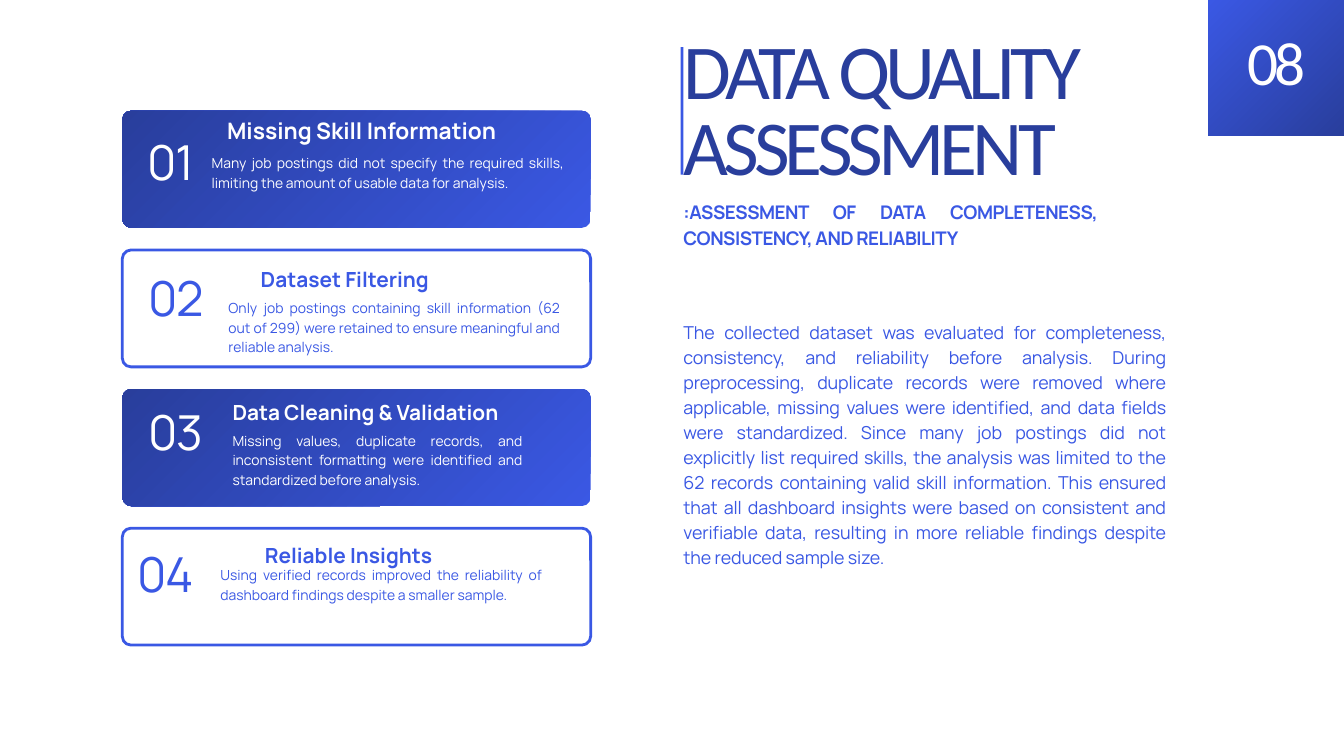
"""Build the data quality assessment slide."""
import pptx
import pptx.dml.color
import pptx.enum.shapes
import pptx.enum.text
import pptx.oxml
import pptx.oxml.ns
import pptx.util

Inches, Pt = pptx.util.Inches, pptx.util.Pt
SHAPE = pptx.enum.shapes.MSO_SHAPE
ALIGN = pptx.enum.text.PP_ALIGN

THEME = {
    "blue": "3A58E4", "navy": "293E9C", "white": "FFFFFF",
    "badge": {"size": 65.6, "name": "Calibri", "leading": 64.2, "spc": -4.2, "align": ALIGN.CENTER},
    "title": {"size": 83.2, "name": "Calibri", "leading": 81.5, "spc": -5.3, "align": ALIGN.LEFT},
    "subtitle": {"size": 20.1, "bold": True, "leading": 28.2, "spc": -0.5},
    "body": {"size": 19.1, "leading": 26.7, "spc": -0.1},
    "lead": {"size": 24.3, "bold": True, "leading": 37},
    "heading": {"size": 22.3, "bold": True, "leading": 34},
    "detail": {"size": 14.9, "leading": 20.9},
    "number": {"size": 51.6, "leading": 46.5, "spc": -1.5, "align": ALIGN.LEFT},
}

TEXTS = [
    ("08", "badge", "white", (18.24, 0.57, 1.5, 0.98)),
    ("DATA QUALITY ASSESSMENT", "title", "navy", (10.17, 0.58, 7.42, 2.32)),
    (":ASSESSMENT OF DATA COMPLETENESS, CONSISTENCY, AND RELIABILITY", "subtitle", "blue",
     (10.17, 2.93, 6.16, 0.78)),
    ("The collected dataset was evaluated for completeness, consistency, and reliability before "
     "analysis. During preprocessing, duplicate records were removed where applicable, missing "
     "values were identified, and data fields were standardized. Since many job postings did not "
     "explicitly list required skills, the analysis was limited to the 62 records containing valid "
     "skill information. This ensured that all dashboard insights were based on consistent and "
     "verifiable data, resulting in more reliable findings despite the reduced sample size.",
     "body", "blue", (10.17, 4.74, 7.18, 3.99)),
]

CARDS = [
    {"filled": True, "style": "lead", "number": (2.19, 2.19),
     "heading": ("Missing Skill Information", (3.38, 1.63, 4.44, 0.48)),
     "detail": ("Many job postings did not specify the required skills, limiting the amount of "
                "usable data for analysis.", (3.15, 2.26, 5.24, 0.83))},
    {"filled": False, "style": "heading", "number": (2.21, 4.21),
     "heading": ("Dataset Filtering", (3.88, 3.87, 3.45, 0.44)),
     "detail": ("Only job postings containing skill information (62 out of 299) were retained to "
                "ensure meaningful and reliable analysis.", (3.4, 4.42, 4.93, 0.87))},
    {"filled": True, "style": "heading", "number": (2.21, 6.2),
     "heading": ("Data Cleaning & Validation", (3.46, 5.85, 4.41, 0.44)),
     "detail": ("Missing values, duplicate records, and inconsistent formatting were identified "
                "and standardized before analysis.", (3.46, 6.39, 4.31, 0.83))},
    {"filled": False, "style": "heading", "number": (2.05, 8.32),
     "heading": ("Reliable Insights", (3.94, 7.98, 3.45, 0.44)),
     "detail": ("Using verified records improved the reliability of dashboard findings despite a "
                "smaller sample.", (3.28, 8.39, 4.78, 0.83))},
]
CARD_LEFT, CARD_TOP, CARD_WIDTH, CARD_HEIGHT = 1.82, 1.65, 6.97, 1.74
CARD_PITCH, CARD_RADIUS, NUMBER_SIZE = 2.07, 0.13, (0.96, 0.76)


def rgb(name):
    """Return a theme colour."""
    return pptx.dml.color.RGBColor.from_string(THEME[name])


def add_box(s, kind, box, fill=(), line=None):
    """Add a shape with no, solid or corner-radial fill."""
    sp = s.shapes.add_shape(kind, *map(Inches, box))
    sp.shadow.inherit = False
    if not fill:
        sp.fill.background()
    elif len(fill) == 1:
        sp.fill.solid()
        sp.fill.fore_color.rgb = rgb(fill[0])
    else:
        sp.fill.gradient()
        for i, stop in enumerate(sp.fill.gradient_stops):
            stop.position = i
            stop.color.rgb = rgb(fill[i])
        grad = sp._element.spPr.find(pptx.oxml.ns.qn("a:gradFill"))
        grad.replace(grad.find(pptx.oxml.ns.qn("a:lin")), pptx.oxml.parse_xml(
            f'<a:path {pptx.oxml.ns.nsdecls("a")} path="circle">'
            '<a:fillToRect l="0" t="0" r="100000" b="100000"/></a:path>'))
    if line:
        sp.line.color.rgb = rgb(line)
        sp.line.width = Pt(3)
    else:
        sp.line.fill.background()
    return sp


def add_text(s, text, style, color, box):
    """Add a text box in a theme style."""
    look = {"name": "Manrope", "bold": False, "align": ALIGN.JUSTIFY, "spc": 0, **THEME[style]}
    tf = s.shapes.add_textbox(*map(Inches, box)).text_frame
    frame = {"word_wrap": True, "auto_size": pptx.enum.text.MSO_AUTO_SIZE.SHAPE_TO_FIT_TEXT,
             "margin_left": 0, "margin_top": 0, "margin_right": 0, "margin_bottom": 0}
    for key, value in frame.items():
        setattr(tf, key, value)
    p = tf.paragraphs[0]
    p.alignment = look["align"]
    p.line_spacing = Pt(look["leading"])
    r = p.add_run()
    r.text = text
    for key, value in {"name": look["name"], "bold": look["bold"], "size": Pt(look["size"])}.items():
        setattr(r.font, key, value)
    r.font.color.rgb = rgb(color)
    r._r.get_or_add_rPr().set("spc", str(round(look["spc"] * 100)))


def add_card(s, index, card):
    """Add one numbered card."""
    box = (CARD_LEFT, CARD_TOP + index * CARD_PITCH, CARD_WIDTH, CARD_HEIGHT)
    fill, line, color = (("navy", "blue"), None, "white") if card["filled"] else ((), "blue", "blue")
    sp = add_box(s, SHAPE.ROUNDED_RECTANGLE, box, fill, line)
    sp.adjustments[0] = CARD_RADIUS / CARD_HEIGHT
    for style, (text, place) in ((card["style"], card["heading"]), ("detail", card["detail"]),
                                 ("number", (f"{index + 1:02}", card["number"] + NUMBER_SIZE))):
        add_text(s, text, style, color, place)


def main():
    """Assemble and save the slide."""
    prs = pptx.Presentation()
    prs.slide_width, prs.slide_height = Inches(20), Inches(11.25)
    s = prs.slides.add_slide(prs.slide_layouts[6])
    add_box(s, SHAPE.RECTANGLE, (17.98, 0, 2.02, 2.02), ("blue", "navy"))
    add_box(s, SHAPE.RECTANGLE, (10.13, 0.7, 0.04, 1.9), ("blue",))
    for item in TEXTS:
        add_text(s, *item)
    for index, card in enumerate(CARDS):
        add_card(s, index, card)
    prs.save("out.pptx")


if __name__ == "__main__":
    main()
